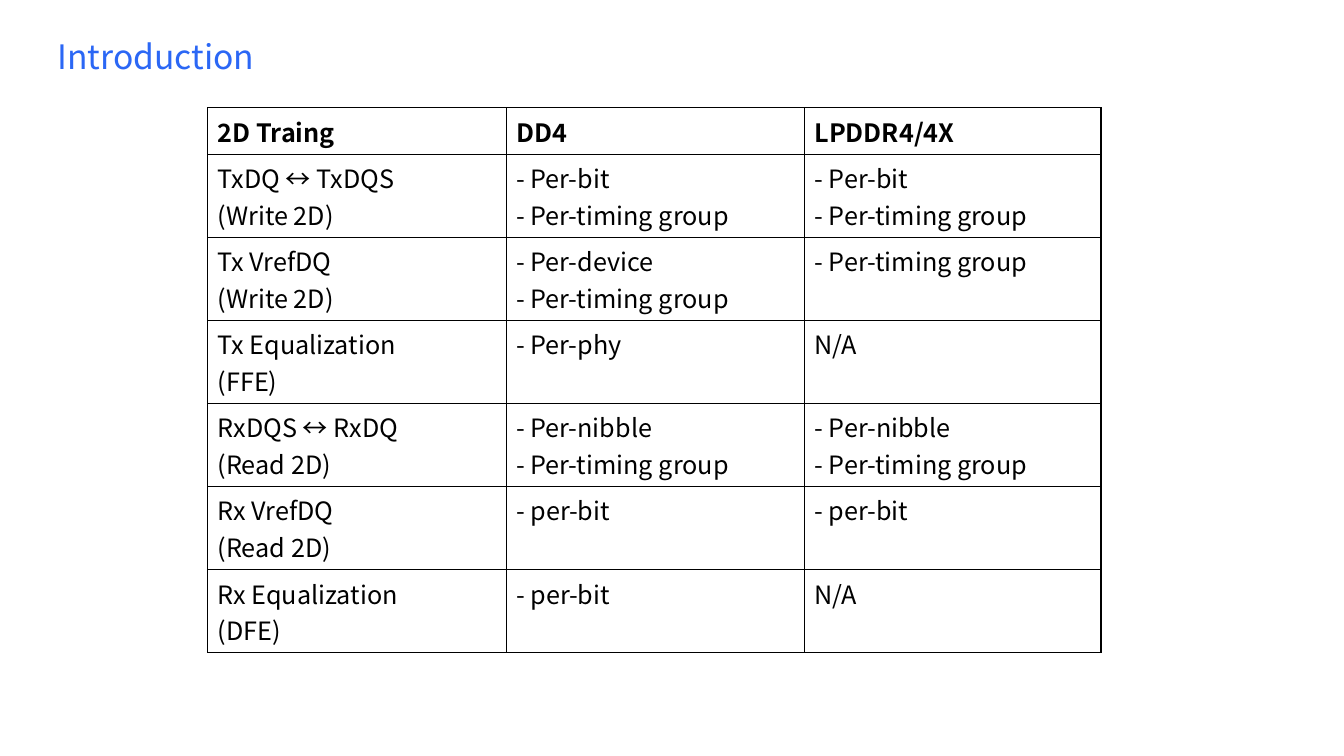
from lxml import etree
from pptx import Presentation
from pptx.dml.color import RGBColor
from pptx.enum.text import MSO_ANCHOR, MSO_AUTO_SIZE, PP_ALIGN
from pptx.oxml.ns import qn
from pptx.util import Inches, Pt

LEFT = PP_ALIGN.LEFT
MIDDLE = MSO_ANCHOR.MIDDLE
NO_AUTOFIT = MSO_AUTO_SIZE.NONE
TITLE_ONLY = 5

FONT = "Noto Sans CJK SC"
COLORS = {"title": "2B67F5", "text": "000000", "border": "000000", "cell": "FFFFFF"}

COL_WIDTHS = [2.96, 2.96, 2.94]
HEADER_HEIGHT = 0.46
ROW_HEIGHT = 0.82
TRAINING_ROWS = [
    ["2D Traing", "DD4", "LPDDR4/4X"],
    ["TxDQ ↔ TxDQS\n(Write 2D)", "- Per-bit\n- Per-timing group", "- Per-bit\n- Per-timing group"],
    ["Tx VrefDQ\n(Write 2D)", "- Per-device\n- Per-timing group", "- Per-timing group"],
    ["Tx Equalization\n(FFE)", "- Per-phy", "N/A"],
    ["RxDQS ↔ RxDQ\n(Read 2D)", "- Per-nibble\n- Per-timing group", "- Per-nibble\n- Per-timing group"],
    ["Rx VrefDQ\n(Read 2D)", "- per-bit", "- per-bit"],
    ["Rx Equalization\n(DFE)", "- per-bit", "N/A"],
]


def style_font(font, size, color, bold=False):
    font.name = FONT
    font.size = Pt(size)
    font.bold = bold
    font.color.rgb = RGBColor.from_string(COLORS[color])


def add_title(slide, text, left, top, width, height):
    title = slide.shapes.title
    title.left, title.top = Inches(left), Inches(top)
    title.width, title.height = Inches(width), Inches(height)
    tf = title.text_frame
    tf.text = text
    tf.auto_size = NO_AUTOFIT
    tf.vertical_anchor = MIDDLE
    p = tf.paragraphs[0]
    p.alignment = LEFT
    p.line_spacing = 0.9
    style_font(p.font, 24, "title")


def add_borders(cell, width):
    tcPr = cell._tc.get_or_add_tcPr()
    for side in ("a:lnL", "a:lnR", "a:lnT", "a:lnB"):
        ln = etree.SubElement(tcPr, qn(side), w=str(Pt(width)))
        fill = etree.SubElement(ln, qn("a:solidFill"))
        etree.SubElement(fill, qn("a:srgbClr"), val=COLORS["border"])


def fill_cell(cell, text, bold):
    add_borders(cell, 1)
    cell.fill.solid()
    cell.fill.fore_color.rgb = RGBColor.from_string(COLORS["cell"])
    cell.text_frame.text = text
    for p in cell.text_frame.paragraphs:
        style_font(p.font, 18, "text", bold)


def add_training_table(slide, left, top):
    heights = [HEADER_HEIGHT] + [ROW_HEIGHT] * (len(TRAINING_ROWS) - 1)
    table = slide.shapes.add_table(
        len(heights), len(COL_WIDTHS), Inches(left), Inches(top),
        Inches(sum(COL_WIDTHS)), Inches(sum(heights))).table
    table.first_row = False
    table.horz_banding = False
    for col, width in zip(table.columns, COL_WIDTHS):
        col.width = Inches(width)
    for i, (row, height) in enumerate(zip(table.rows, heights)):
        row.height = Inches(height)
        for cell, text in zip(row.cells, TRAINING_ROWS[i]):
            fill_cell(cell, text, bold=i == 0)


def main():
    prs = Presentation()
    prs.slide_width, prs.slide_height = Inches(13.33), Inches(7.5)
    slide = prs.slides.add_slide(prs.slide_layouts[TITLE_ONLY])
    add_title(slide, "Introduction", 0.47, 0.38, 10.56, 0.41)
    add_training_table(slide, 2.06, 1.07)
    prs.save("out.pptx")


if __name__ == "__main__":
    main()
